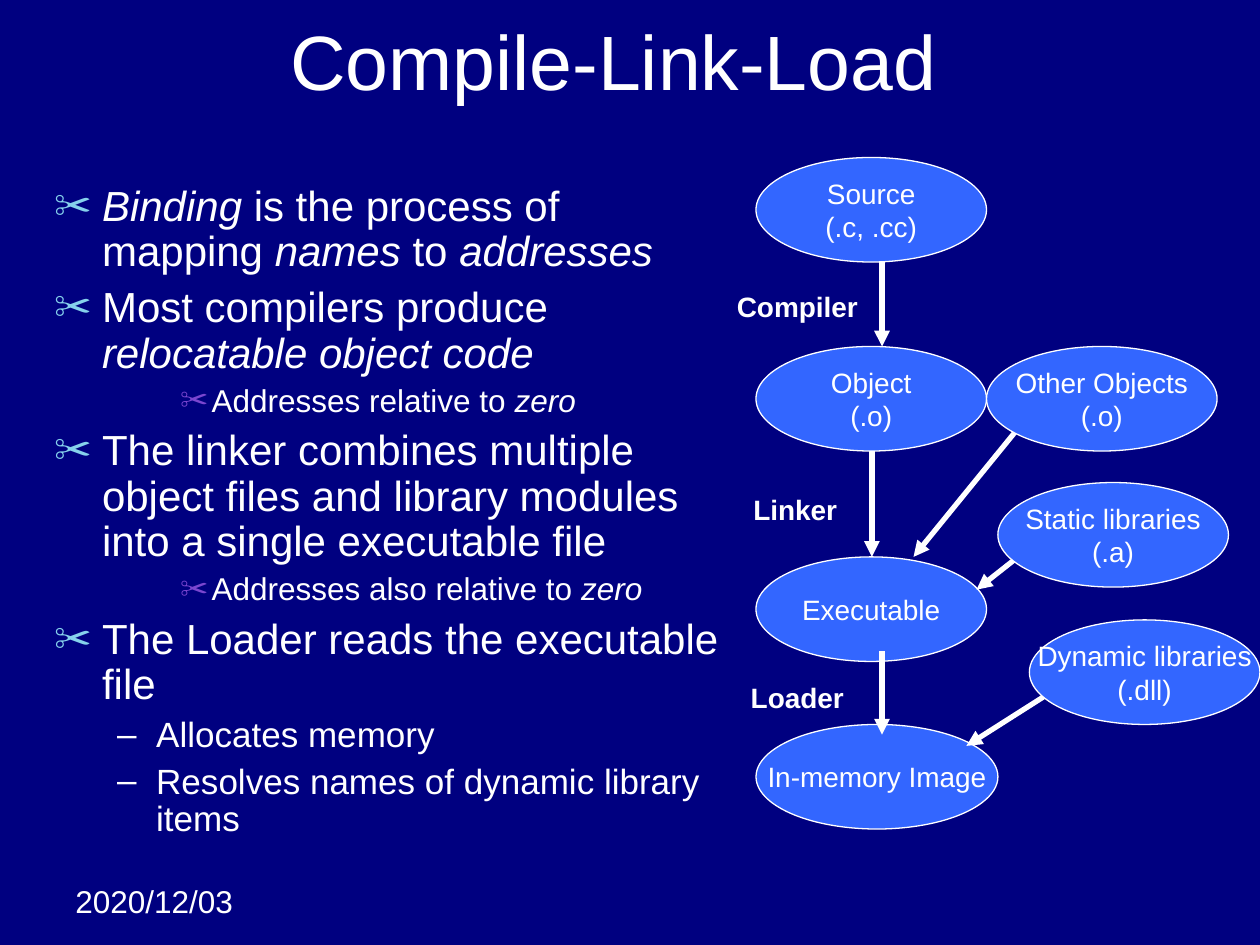
from lxml import etree
from pptx import Presentation
from pptx.dml.color import RGBColor
from pptx.enum.shapes import MSO_CONNECTOR, MSO_SHAPE
from pptx.enum.text import MSO_ANCHOR, MSO_AUTO_SIZE, PP_ALIGN
from pptx.oxml.ns import qn
from pptx.util import Inches, Pt

OVAL = MSO_SHAPE.OVAL
STRAIGHT = MSO_CONNECTOR.STRAIGHT
MIDDLE, TOP = MSO_ANCHOR.MIDDLE, MSO_ANCHOR.TOP
NO_FIT, GROW = MSO_AUTO_SIZE.NONE, MSO_AUTO_SIZE.SHAPE_TO_FIT_TEXT
CENTER, LEFT = PP_ALIGN.CENTER, PP_ALIGN.LEFT

COLORS = {
    "background": "000080",
    "text": "FFFFFF",
    "stage": "3366FF",
    "main_bullet": "86D1EC",
    "detail_bullet": "7B46D0",
}
FONT = "Arial"

TITLE = "Compile-Link-Load"
DATE = "2020/12/03"

# Asterisks enclose italic words.
POINTS = [
    (0, "*Binding* is the process of mapping *names* to *addresses*"),
    (0, "Most compilers produce *relocatable object code*"),
    (2, "Addresses relative to *zero*"),
    (0, "The linker combines multiple object files and library modules into a single executable file"),
    (2, "Addresses also relative to *zero*"),
    (0, "The Loader reads the executable file"),
    (1, "Allocates memory"),
    (1, "Resolves names of dynamic library items"),
]
LEVELS = {
    0: dict(size=24, margin=0.38, hang=0.38, before=6, bullet="✂", color="main_bullet", scale=90),
    1: dict(size=20, margin=0.81, hang=0.31, before=5, bullet="–", color="text", scale=100),
    2: dict(size=18, margin=1.25, hang=0.25, before=4.5, bullet="✂", color="detail_bullet", scale=90),
}

STAGE_WIDTH, STAGE_HEIGHT = 1.83, 0.83
STAGES = [
    ("Source\v(.c, .cc)", 6, 1.25, STAGE_WIDTH),
    ("Object\v(.o)", 6, 2.75, STAGE_WIDTH),
    ("Executable", 6, 4.42, STAGE_WIDTH),
    ("In-memory Image", 6, 5.75, 1.92),
]
EXTRA_INPUTS = [
    ("Other Objects\v(.o)", 7.83, 2.75, STAGE_WIDTH),
    ("Static libraries\v(.a)", 7.92, 3.83, STAGE_WIDTH),
    ("Dynamic libraries\n(.dll)", 8.17, 4.92, STAGE_WIDTH),
]
TOOLS = [
    ("Compiler", 5.75, 2.25, 1.16),
    ("Linker", 5.88, 3.86, 0.88),
    ("Loader", 5.86, 5.35, 0.95),
]
ARROWS = [
    (7, 2.08, 7, 2.75),
    (6.92, 3.58, 6.92, 4.42),
    (7, 5.17, 7, 5.83),
    (8.08, 3.4, 7.25, 4.42),
    (8.08, 4.42, 7.75, 4.68),
    (8.33, 5.5, 7.67, 5.92),
]


def rgb(name):
    return RGBColor.from_string(COLORS[name])


def style(paragraph, size, bold=False):
    font = paragraph.font
    font.name, font.size, font.bold = FONT, Pt(size), bold
    font.color.rgb = rgb("text")


def place(shape, left, top, width, height):
    shape.left, shape.top = Inches(left), Inches(top)
    shape.width, shape.height = Inches(width), Inches(height)


def fill_text(frame, text, size, align, wrap, bold=False):
    frame.text = text
    frame.word_wrap = wrap
    for paragraph in frame.paragraphs:
        paragraph.alignment = align
        style(paragraph, size, bold)


def add_label(slide, text, left, top, width, height, size, bold, wrap):
    box = slide.shapes.add_textbox(*map(Inches, (left, top, width, height)))
    box.text_frame.auto_size = GROW
    fill_text(box.text_frame, text, size, LEFT, wrap, bold)


def add_bullet(paragraph, level):
    properties = paragraph._p.get_or_add_pPr()
    properties.set("marL", str(Inches(level["margin"])))
    properties.set("indent", str(-Inches(level["hang"])))
    color = etree.SubElement(properties, qn("a:buClr"))
    etree.SubElement(color, qn("a:srgbClr"), val=COLORS[level["color"]])
    etree.SubElement(properties, qn("a:buSzPct"), val=str(level["scale"] * 1000))
    etree.SubElement(properties, qn("a:buChar"), char=level["bullet"])


def add_point(paragraph, depth, text, first):
    level = LEVELS[depth]
    paragraph.level = depth
    add_bullet(paragraph, level)
    paragraph.line_spacing = 0.9
    paragraph.space_before = Pt(0 if first else level["before"])
    style(paragraph, level["size"])
    for index, part in enumerate(text.split("*")):
        if part:
            run = paragraph.add_run()
            run.text = part
            run.font.italic = index % 2 == 1


def add_stage(slide, text, left, top, width):
    stage = slide.shapes.add_shape(OVAL, *map(Inches, (left, top, width, STAGE_HEIGHT)))
    stage.shadow.inherit = False
    stage.fill.solid()
    stage.fill.fore_color.rgb = rgb("stage")
    stage.line.color.rgb = rgb("text")
    stage.line.width = Pt(0.75)
    stage.text_frame.vertical_anchor = MIDDLE
    fill_text(stage.text_frame, text, 16, CENTER, False)


def add_arrow(slide, ends):
    arrow = slide.shapes.add_connector(STRAIGHT, *map(Inches, ends))
    arrow.line.color.rgb = rgb("text")
    arrow.line.width = Pt(3)
    etree.SubElement(arrow.line._get_or_add_ln(), qn("a:tailEnd"), type="triangle")
    etree.SubElement(arrow._element.spPr, qn("a:effectLst"))


def main():
    deck = Presentation()
    deck.slide_width, deck.slide_height = Inches(10), Inches(7.5)
    slide = deck.slides.add_slide(deck.slide_layouts[1])
    slide.background.fill.solid()
    slide.background.fill.fore_color.rgb = rgb("background")

    title, body = slide.placeholders
    place(title, 0.37, 0.02, 9, 0.9)
    title.text_frame.auto_size = NO_FIT
    title.text_frame.vertical_anchor = MIDDLE
    fill_text(title.text_frame, TITLE, 44, CENTER, True)

    place(body, 0.33, 1.42, 5.5, 5.33)
    body.text_frame.auto_size = NO_FIT
    body.text_frame.vertical_anchor = TOP
    for index, (depth, text) in enumerate(POINTS):
        frame = body.text_frame
        paragraph = frame.add_paragraph() if index else frame.paragraphs[0]
        add_point(paragraph, depth, text, index == 0)

    for stage in STAGES:
        add_stage(slide, *stage)
    for ends in ARROWS:
        add_arrow(slide, ends)
    for extra_input in EXTRA_INPUTS:
        add_stage(slide, *extra_input)
    for name, left, top, width in TOOLS:
        add_label(slide, name, left, top, width, 0.37, 16, True, False)
    add_label(slide, DATE, 0.5, 6.95, 1.58, 0.4, 18, False, True)

    deck.save("out.pptx")


if __name__ == "__main__":
    main()
